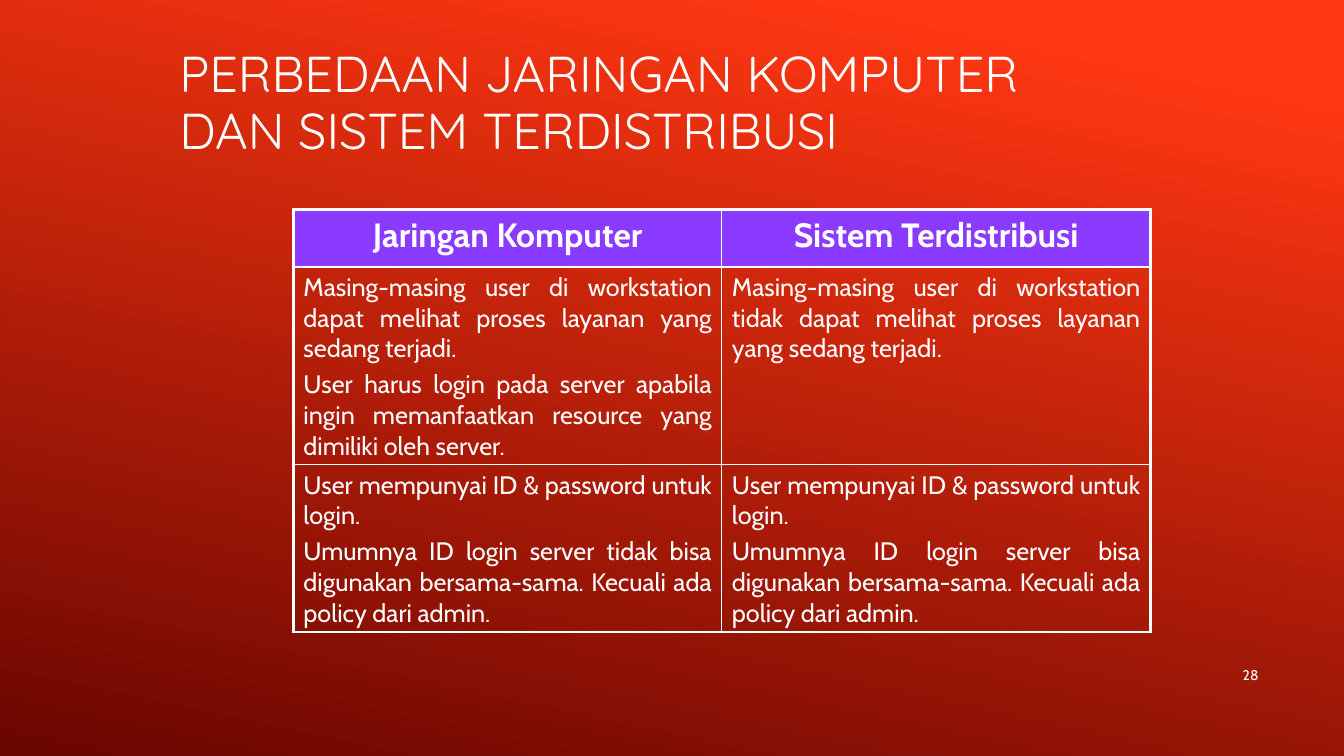
"""Build a slide comparing computer networks with distributed systems."""
from lxml import etree
from pptx import Presentation
from pptx.dml.color import RGBColor
from pptx.enum.text import MSO_ANCHOR as Anchor, PP_ALIGN as Align
from pptx.oxml.ns import qn
from pptx.util import Inches, Pt

WHITE, PURPLE = "FFFFFF", "8A3BFF"
OUTER_LINE, INNER_LINE = 2.25, 1


def color(hex_code):
    """Turn a hex string into a colour."""
    return RGBColor.from_string(hex_code)


def write(frame, lines, align, font_name, size, bold=False, para_format=None):
    """Fill a text frame with one styled paragraph per line."""
    frame.word_wrap = True
    frame.text = "\n".join(lines)
    for para in frame.paragraphs:
        para.alignment = align
        for name, value in (para_format or {}).items():
            setattr(para, name, value)
        for span in para.runs:
            for name, value in {"name": font_name, "size": Pt(size), "bold": bold}.items():
                setattr(span.font, name, value)
            span.font.color.rgb = color(WHITE)


deck = Presentation()
deck.slide_width, deck.slide_height = Inches(13.33), Inches(7.5)
page = deck.slides.add_slide(deck.slide_layouts[6])

backdrop = page.background.fill
backdrop.gradient()
backdrop.gradient_angle = 360 - 102
for stop, (position, shade) in zip(backdrop.gradient_stops, [(0.1, "FF3712"), (1, "6A0600")]):
    stop.position = position
    stop.color.rgb = color(shade)

labels = [
    ((1.68, 0.23, 11.36, 1.6), "PERBEDAAN JARINGAN KOMPUTER \vDAN SISTEM TERDISTRIBUSI",
     Anchor.MIDDLE, Align.LEFT, "Quicksand", 36, {"line_spacing": 0.95}),
    ((11.33, 6.1, 1.25, 0.73), "28", Anchor.BOTTOM, Align.RIGHT, "Cabin", 10, {}),
]
for place, text, anchor, align, font_name, size, para_format in labels:
    box = page.shapes.add_textbox(*map(Inches, place))
    box.text_frame.vertical_anchor = anchor
    write(box.text_frame, [text], align, font_name, size, para_format=para_format)

login = "User mempunyai ID & password untuk login."
comparison = [
    [["Jaringan Komputer"], ["Sistem Terdistribusi"]],
    [["Masing-masing user di workstation dapat melihat proses layanan yang sedang terjadi.",
      "User harus login pada server apabila ingin memanfaatkan resource yang dimiliki oleh server."],
     ["Masing-masing user di workstation tidak dapat melihat proses layanan yang sedang terjadi."]],
    [[login, "Umumnya ID login server tidak bisa digunakan bersama-sama. Kecuali ada policy dari admin."],
     [login, "Umumnya ID login server bisa digunakan bersama-sama. Kecuali ada policy dari admin."]],
]
row_heights = [0.57, 1.96, 1.66]
last_row, last_column = len(comparison) - 1, len(comparison[0]) - 1
table = page.shapes.add_table(len(comparison), len(comparison[0]), Inches(2.91), Inches(2.08),
                              Inches(8.5), Inches(sum(row_heights))).table
table.first_row = table.horz_banding = False
for row, height in zip(table.rows, row_heights):
    row.height = Inches(height)

for row_index, row_texts in enumerate(comparison):
    header = row_index == 0
    size = 24 if header else 18
    for column_index, lines in enumerate(row_texts):
        cell = table.cell(row_index, column_index)
        write(cell.text_frame, lines, Align.CENTER if header else Align.JUSTIFY, "Cabin", size,
              bold=header, para_format={"space_before": Pt(size * 0.2)})
        if header:
            cell.fill.solid()
            cell.fill.fore_color.rgb = color(PURPLE)
        else:
            cell.fill.background()
        on_edge = {"lnL": column_index == 0, "lnR": column_index == last_column,
                   "lnT": row_index == 0, "lnB": row_index == last_row}
        properties = cell._tc.get_or_add_tcPr()
        for order, (side, outer) in enumerate(on_edge.items()):
            border = etree.Element(qn(f"a:{side}"), w=str(Pt(OUTER_LINE if outer else INNER_LINE)))
            paint = etree.SubElement(border, qn("a:solidFill"))
            etree.SubElement(paint, qn("a:srgbClr"), val=WHITE)
            properties.insert(order, border)

deck.save("out.pptx")
